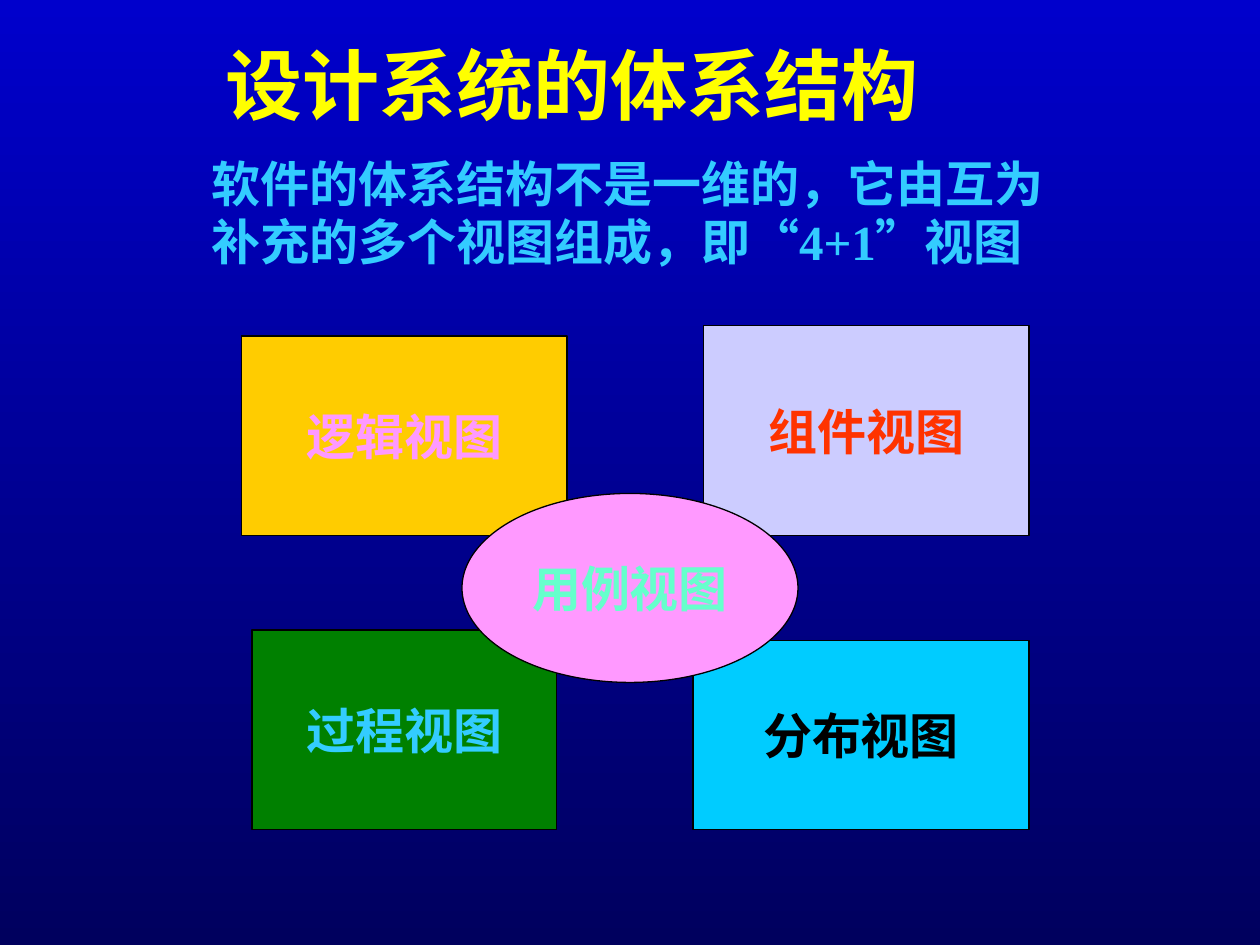
from pptx import Presentation
from pptx.dml.color import RGBColor
from pptx.enum.shapes import MSO_SHAPE
from pptx.enum.text import MSO_ANCHOR, PP_ALIGN
from pptx.util import Pt


def color(value):
    return RGBColor.from_string(value)


def write_text(shape, text, size=28, fill="000000", align=PP_ALIGN.CENTER,
               anchor=MSO_ANCHOR.MIDDLE, wrap=False):
    frame = shape.text_frame
    frame.word_wrap = wrap
    frame.vertical_anchor = anchor
    paragraph = frame.paragraphs[0]
    paragraph.text = text
    paragraph.alignment = align
    paragraph.font.name = "Times New Roman"
    paragraph.font.size = Pt(size)
    paragraph.font.bold = True
    paragraph.font.color.rgb = color(fill)


presentation = Presentation()
presentation.slide_width = Pt(720)
presentation.slide_height = Pt(540)
slide = presentation.slides.add_slide(presentation.slide_layouts[6])

# Background: vertical gradient, darker towards the bottom
background = slide.background.fill
background.gradient()
background.gradient_angle = 270
for stop, (position, value) in zip(background.gradient_stops,
                                   [(0, "0000CC"), (1, "00005E")]):
    stop.position = position
    stop.color.rgb = color(value)

# Title
title = slide.shapes.add_textbox(Pt(96), Pt(18), Pt(462), Pt(60))
write_text(title, "设计系统的体系结构", size=44, fill="FFFF00", wrap=True)

# Introduction
introduction = slide.shapes.add_textbox(Pt(114), Pt(84), Pt(492), Pt(75))
write_text(introduction,
           "软件的体系结构不是一维的，它由互为补充的多个视图组成，即“4+1”视图",
           fill="33CCFF", align=PP_ALIGN.LEFT, anchor=MSO_ANCHOR.TOP, wrap=True)

# Four views, with the use case view on top of them
views = [
    ("逻辑视图", MSO_SHAPE.RECTANGLE, 138, 192, 186, 114, "FFCC00", "FF99FF"),
    ("组件视图", MSO_SHAPE.RECTANGLE, 402, 186, 186, 120, "CCCCFF", "FF3300"),
    ("过程视图", MSO_SHAPE.RECTANGLE, 144, 360, 174, 114, "008000", "33CCFF"),
    ("分布视图", MSO_SHAPE.RECTANGLE, 396, 366, 192, 108, "00CCFF", "000000"),
    ("用例视图", MSO_SHAPE.OVAL, 264, 282, 192, 108, "FF99FF", "66FFCC"),
]
for name, kind, left, top, width, height, fill, text_color in views:
    view = slide.shapes.add_shape(kind, Pt(left), Pt(top), Pt(width), Pt(height))
    view.shadow.inherit = False
    view.fill.solid()
    view.fill.fore_color.rgb = color(fill)
    view.line.color.rgb = color("000000")
    view.line.width = Pt(0.75)
    write_text(view, name, fill=text_color)

presentation.save("out.pptx")
